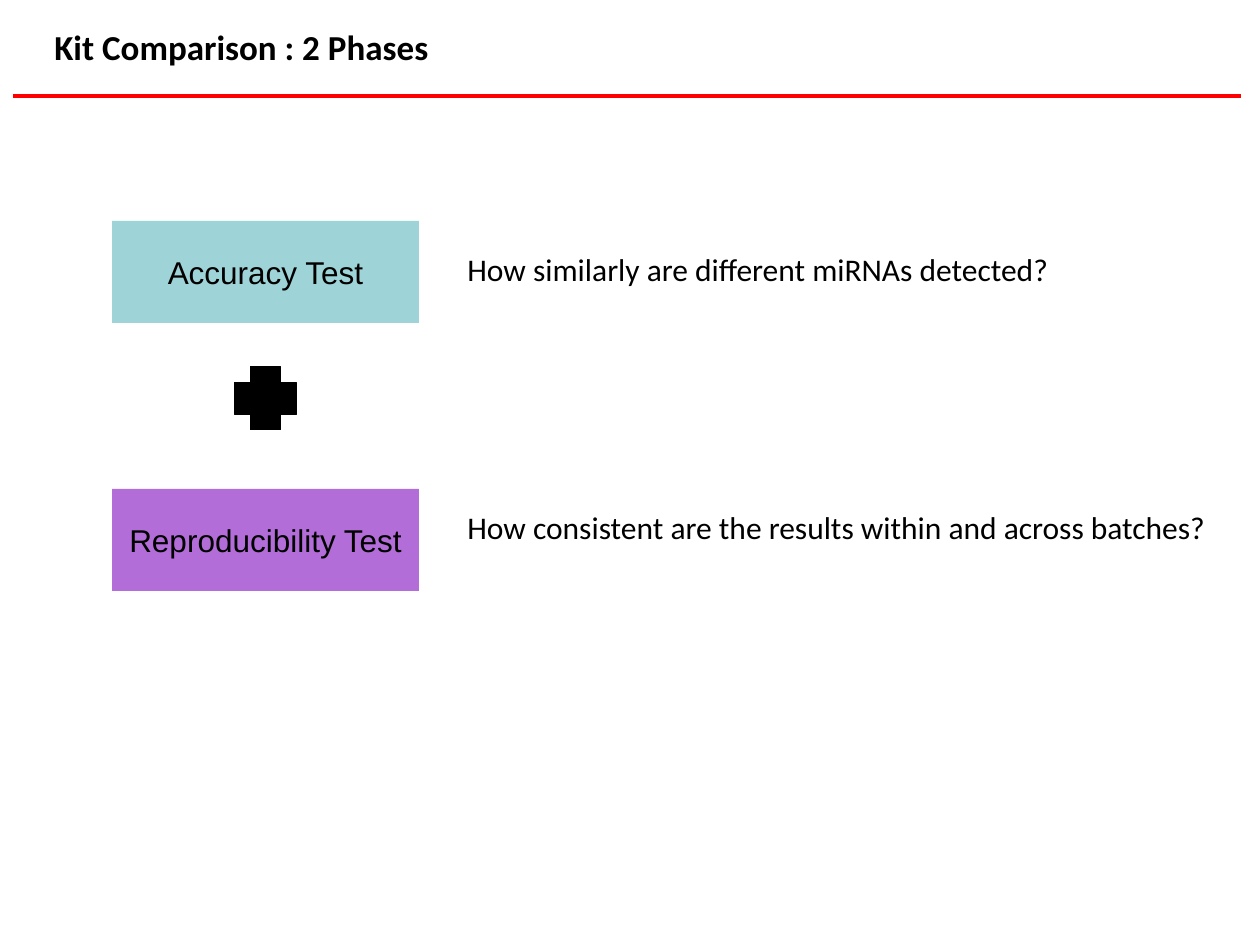
"""Build the kit comparison slide with its two test phases."""
from lxml.etree import SubElement
from pptx import Presentation
from pptx.dml.color import RGBColor
from pptx.enum.shapes import MSO_CONNECTOR, MSO_SHAPE
from pptx.enum.text import MSO_ANCHOR, PP_ALIGN
from pptx.oxml.ns import qn
from pptx.util import Emu, Pt


def px(*values):
    return [Emu(round(v * 914400 / 126)) for v in values]


def style(tf, text, size, font, bold=False):
    tf.text = text
    tf.word_wrap = False
    r = tf.paragraphs[0].runs[0]
    r.font.size = Pt(size)
    r.font.name = font
    r.font.bold = bold
    r.font.color.rgb = RGBColor.from_string("000000")


prs = Presentation()
prs.slide_width, prs.slide_height = px(1260, 945)
s = prs.slides.add_slide(prs.slide_layouts[6])

rule = s.shapes.add_connector(MSO_CONNECTOR.STRAIGHT, *px(13, 96, 1241, 96))
rule.line.color.rgb = RGBColor.from_string("FF0000")
rule.line.width = Pt(2)
SubElement(rule._element.spPr, qn("a:effectLst"))

title = s.shapes.add_textbox(*px(42, 19, 403, 55))
style(title.text_frame, "Kit Comparison : 2 Phases", 20, "Calibri", True)

phases = [
    ("Accuracy Test", 221, "9ED3D7", 100,
     "How similarly are different miRNAs detected?", 244, 614),
    ("Reproducibility Test", 489, "9737CC", 73,
     "How consistent are the results within and across batches?", 502, 772),
]
for name, top, color, opacity, question, question_top, question_width in phases:
    sp = s.shapes.add_shape(MSO_SHAPE.RECTANGLE, *px(112, top, 307, 102))
    sp.shadow.inherit = False
    sp.fill.solid()
    sp.fill.fore_color.rgb = RGBColor.from_string(color)
    sp.line.fill.background()
    if opacity < 100:
        rgb = sp._element.spPr.find(".//" + qn("a:srgbClr"))
        SubElement(rgb, qn("a:alpha"), val=str(opacity * 1000))
    tf = sp.text_frame
    style(tf, name, 18, "Arial")
    tf.vertical_anchor = MSO_ANCHOR.MIDDLE
    tf.paragraphs[0].alignment = PP_ALIGN.CENTER

    box = s.shapes.add_textbox(*px(455, question_top, question_width, 89))
    style(box.text_frame, question, 18, "Calibri")

plus = s.shapes.add_shape(MSO_SHAPE.CROSS, *px(235, 367, 61, 63))
plus.shadow.inherit = False
plus.fill.solid()
plus.fill.fore_color.rgb = RGBColor.from_string("000000")
plus.line.color.rgb = RGBColor.from_string("000000")
plus.line.width = Pt(0.5)

prs.save("out.pptx")
